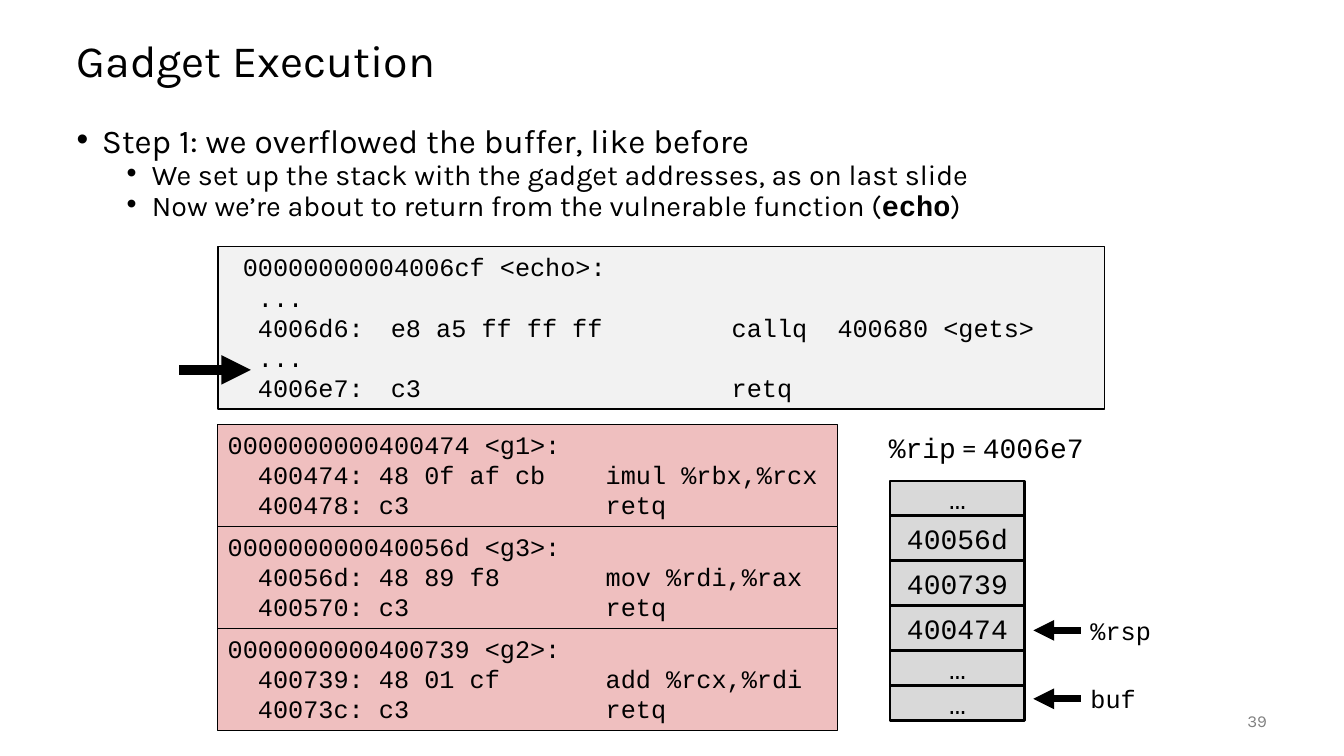
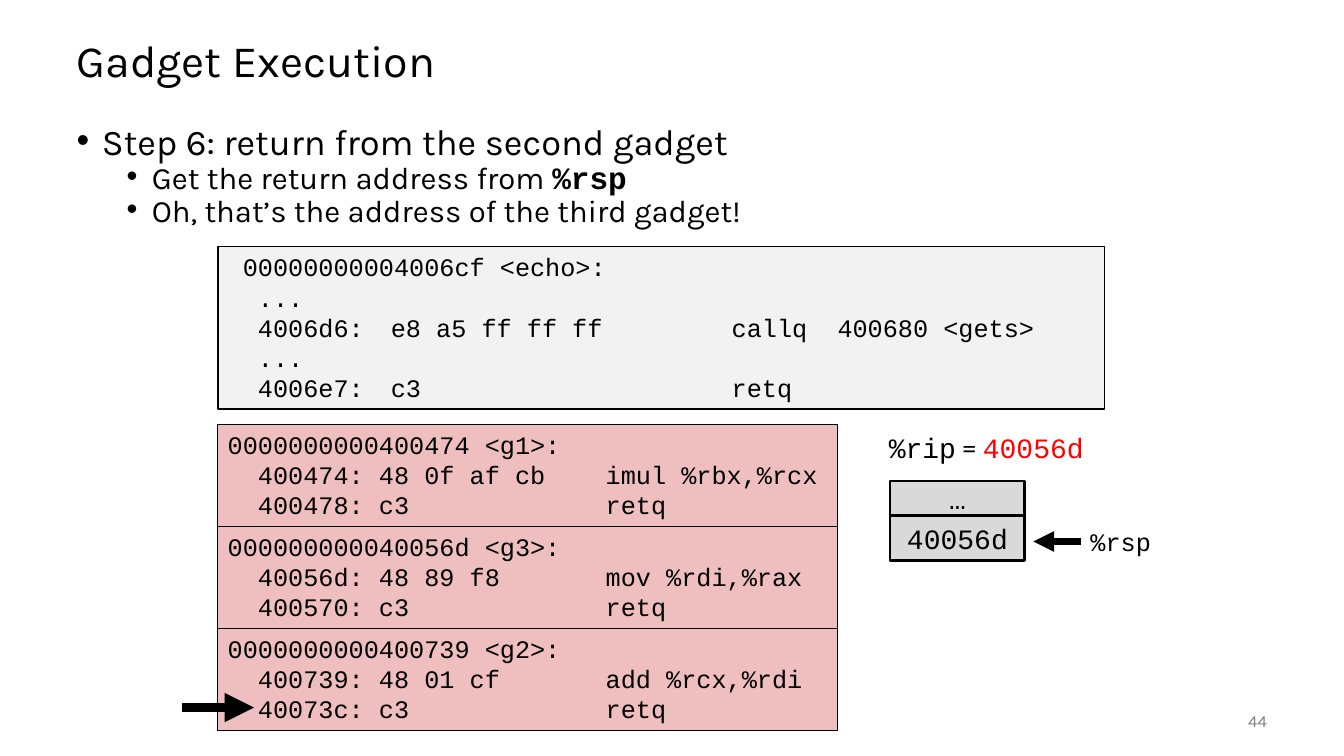
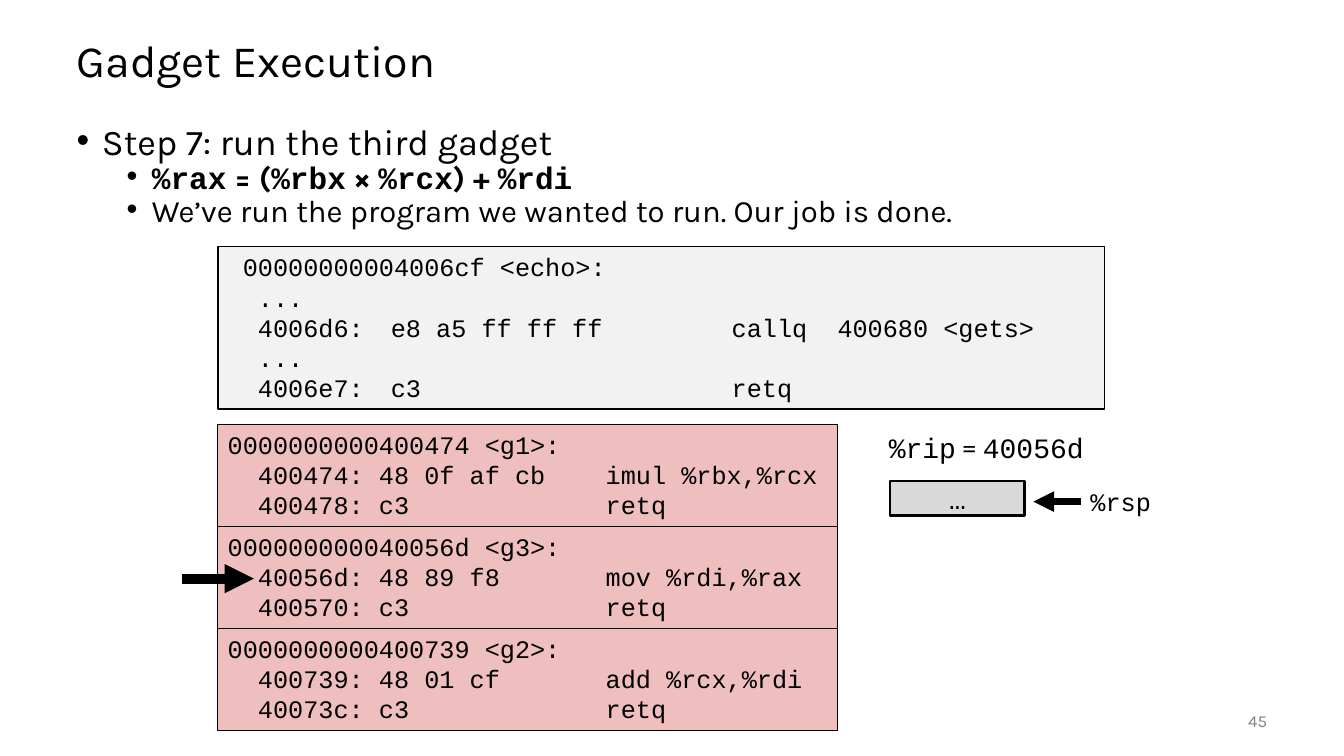
"""Build three slides that trace a return-oriented program through its gadgets."""
from dataclasses import dataclass
from typing import NamedTuple

from lxml import etree
from pptx import Presentation
from pptx.dml.color import RGBColor
from pptx.enum.shapes import MSO_CONNECTOR, MSO_SHAPE
from pptx.enum.text import MSO_ANCHOR, PP_ALIGN
from pptx.oxml.ns import qn
from pptx.util import Cm, Pt

STRAIGHT = MSO_CONNECTOR.STRAIGHT
RECTANGLE = MSO_SHAPE.RECTANGLE
TOP, MIDDLE = MSO_ANCHOR.TOP, MSO_ANCHOR.MIDDLE
LEFT, CENTER, RIGHT = PP_ALIGN.LEFT, PP_ALIGN.CENTER, PP_ALIGN.RIGHT
LEFT_SIDE = 1


@dataclass(frozen=True)
class Theme:
    """Colours, fonts and type sizes of the deck."""
    ink: str = "000000"
    changed: str = "FF0000"
    number: str = "808080"
    listing: str = "F2F2F2"
    gadget: str = "EFBFBF"
    cell: str = "D9D9D9"
    prose: str = "Karla"
    code: str = "Courier New"
    sign: str = "Calibri"
    title_size: float = 32
    code_size: float = 18
    stack_size: float = 20
    number_size: float = 12


THEME = Theme()


class Box(NamedTuple):
    """Place and size in centimetres."""
    left: float
    top: float
    width: float
    height: float


class Span(NamedTuple):
    """A stretch of text in one font."""
    text: str
    font: str = THEME.prose
    bold: bool = False
    color: str = THEME.ink


class Pointer(NamedTuple):
    """A labelled arrow to a stack cell, nudged from the middle of the cell."""
    label: str
    cell: int
    nudge: float


@dataclass(frozen=True)
class Step:
    """One step of the execution."""
    number: int
    heading: str
    details: list[list[Span]]
    sizes: tuple[float, float]
    rip: Span
    stack: list[str]
    pointers: list[Pointer]
    next_line: tuple[float, float]


TITLE = Box(1.68, 0.64, 30.48, 1.9)
BODY = Box(1.68, 3.18, 30.48, 2.75)
ECHO = Box(5.49, 6.22, 22.35, 4.09)
FIRST_GADGET = Box(5.49, 10.69, 15.62, 2.57)
RIP = Box(22.15, 10.72, 5.46, 1.12)
SLIDE_NUMBER = Box(29.64, 17.65, 2.54, 1.02)
STACK_LEFT, STACK_TOP, STACK_WIDTH = 22.43, 12.12, 3.4
ADDRESS_HEIGHT, ELLIPSIS_HEIGHT = 1.13, 0.88
LABEL_LEFT, LABEL_WIDTH, LABEL_HEIGHT = 27.23, 2.59, 1.02
POINTER_TIP = 26.04
NEXT_LINE_LENGTH = 1.8
ECHO_TABS = (4.11, 12.7)

ECHO_CODE = [
    " 00000000004006cf <echo>:",
    "  ...",
    "  4006d6:\te8 a5 ff ff ff\tcallq  400680 <gets>",
    "  ...",
    "  4006e7:\tc3\tretq",
]
GADGETS = [
    ["0000000000400474 <g1>:", "  400474: 48 0f af cb    imul %rbx,%rcx",
     "  400478: c3             retq"],
    ["000000000040056d <g3>:", "  40056d: 48 89 f8       mov %rdi,%rax",
     "  400570: c3             retq"],
    ["0000000000400739 <g2>:", "  400739: 48 01 cf       add %rcx,%rdi",
     "  40073c: c3             retq"],
]


def bold_code(text: str) -> Span:
    """Return a span of bold code."""
    return Span(text, THEME.code, True)


STEPS = [
    Step(39, "Step 1: we overflowed the buffer, like before",
         [[Span("We set up the stack with the gadget addresses, as on last slide")],
          [Span("Now we’re about to return from the vulnerable function ("),
           bold_code("echo"), Span(")")]],
         (23.8, 20.4), Span("4006e7", THEME.code),
         ["…", "40056d", "400739", "400474", "…", "…"],
         [Pointer("%rsp", 3, 0.06), Pointer("buf", 5, -0.1)], (4.52, 9.32)),
    Step(44, "Step 6: return from the second gadget",
         [[Span("Get the return address from "), bold_code("%rsp")],
          [Span("Oh, that’s the address of the third gadget!")]],
         (25.9, 22.2), Span("40056d", THEME.code, color=THEME.changed),
         ["…", "40056d"], [Pointer("%rsp", 1, 0.08)], (4.6, 17.83)),
    Step(45, "Step 7: run the third gadget",
         [[bold_code("%rax"), Span(" = (", bold=True), bold_code("%rbx"),
           Span(" × ", bold=True), bold_code("%rcx"), Span(") + ", bold=True),
           bold_code("%rdi")],
          [Span("We’ve run the program we wanted to run. Our job is done.")]],
         (25.9, 22.2), Span("40056d", THEME.code),
         ["…"], [Pointer("%rsp", 0, 0.08)], (4.6, 14.58)),
]


def style_run(run, font: str, size: float, color: str, bold: bool = False) -> None:
    """Set the font of a run."""
    run.font.name = font
    run.font.size = Pt(size)
    run.font.bold = bold
    run.font.color.rgb = RGBColor.from_string(color)


def write_lines(frame, lines: list[str], font: str, size: float,
                color: str = THEME.ink, align=LEFT, anchor=TOP) -> None:
    """Fill a text frame with lines in one font."""
    frame.word_wrap = True
    frame.vertical_anchor = anchor
    frame.text = "\n".join(lines)
    for paragraph in frame.paragraphs:
        paragraph.alignment = align
        for run in paragraph.runs:
            style_run(run, font, size, color)


def write_spans(paragraph, spans: list[Span], size: float) -> None:
    """Fill a paragraph with spans in several fonts."""
    for span in spans:
        run = paragraph.add_run()
        run.text = span.text
        style_run(run, span.font, size, span.color, span.bold)


def add_text(slide, box: Box):
    """Add a text box."""
    return slide.shapes.add_textbox(*map(Cm, box))


def add_panel(slide, box: Box, fill: str, border: float):
    """Add a filled rectangle with a black border."""
    panel = slide.shapes.add_shape(RECTANGLE, *map(Cm, box))
    panel.shadow.inherit = False
    panel.fill.solid()
    panel.fill.fore_color.rgb = RGBColor.from_string(fill)
    panel.line.color.rgb = RGBColor.from_string(THEME.ink)
    panel.line.width = Pt(border)
    return panel


def add_arrow(slide, start: float, end: float, y: float, weight: float):
    """Add a horizontal arrow."""
    arrow = slide.shapes.add_connector(STRAIGHT, Cm(start), Cm(y), Cm(end), Cm(y))
    arrow.line.color.rgb = RGBColor.from_string(THEME.ink)
    arrow.line.width = Pt(weight)
    properties = arrow.element.spPr
    etree.SubElement(properties.find(qn("a:ln")), qn("a:tailEnd"), type="triangle")
    etree.SubElement(properties, qn("a:effectLst"))
    return arrow


def add_bullet(paragraph, margin: float) -> None:
    """Give a paragraph a hanging bullet and tight lines."""
    properties = paragraph._p.get_or_add_pPr()
    properties.set("marL", str(Cm(margin)))
    properties.set("indent", str(Cm(-0.64)))
    etree.SubElement(properties, qn("a:buFont"), typeface="Arial")
    etree.SubElement(properties, qn("a:buChar"), char="•")
    paragraph.line_spacing = 0.7


def add_tabs(paragraph, stops: tuple[float, ...]) -> None:
    """Set left tab stops on a paragraph."""
    tabs = etree.SubElement(paragraph._p.get_or_add_pPr(), qn("a:tabLst"))
    for stop in stops:
        etree.SubElement(tabs, qn("a:tab"), pos=str(Cm(stop)), algn="l")


def draw_frame(slide, number: int) -> None:
    """Draw the title and the slide number."""
    title = add_text(slide, TITLE).text_frame
    write_lines(title, ["Gadget Execution"], THEME.prose, THEME.title_size, anchor=MIDDLE)
    title.paragraphs[0].line_spacing = 0.9
    write_lines(add_text(slide, SLIDE_NUMBER).text_frame, [str(number)], THEME.prose,
                THEME.number_size, THEME.number, RIGHT, MIDDLE)


def draw_explanation(slide, step: Step) -> None:
    """Draw the bulleted explanation of a step."""
    body = add_text(slide, BODY).text_frame
    body.word_wrap = True
    heading_size, detail_size = step.sizes
    heading = body.paragraphs[0]
    add_bullet(heading, 0.64)
    write_spans(heading, [Span(step.heading)], heading_size)
    for spans in step.details:
        detail = body.add_paragraph()
        detail.level = 1
        add_bullet(detail, 1.9)
        detail.space_before = Pt(5)
        write_spans(detail, spans, detail_size)


def draw_code(slide) -> None:
    """Draw the vulnerable function and the gadgets."""
    echo = add_panel(slide, ECHO, THEME.listing, 1).text_frame
    write_lines(echo, ECHO_CODE, THEME.code, THEME.code_size)
    for line in echo.paragraphs:
        add_tabs(line, ECHO_TABS)
    for row, code in enumerate(GADGETS):
        place = FIRST_GADGET._replace(top=FIRST_GADGET.top + row * FIRST_GADGET.height)
        gadget = add_panel(slide, place, THEME.gadget, 0.75)
        write_lines(gadget.text_frame, code, THEME.code, THEME.code_size)


def draw_stack(slide, step: Step) -> None:
    """Draw the instruction pointer, the stack and its pointers."""
    rip = add_text(slide, RIP).text_frame
    rip.word_wrap = False
    write_spans(rip.paragraphs[0],
                [Span("%rip", THEME.code), Span(" = ", THEME.sign), step.rip],
                THEME.stack_size)
    middles = []
    top = STACK_TOP
    for value in step.stack:
        height = ELLIPSIS_HEIGHT if value == "…" else ADDRESS_HEIGHT
        cell = add_panel(slide, Box(STACK_LEFT, top, STACK_WIDTH, height), THEME.cell, 2)
        write_lines(cell.text_frame, [value], THEME.code, THEME.stack_size,
                    align=CENTER, anchor=MIDDLE)
        middles.append(top + height / 2)
        top += height
    for pointer in step.pointers:
        y = middles[pointer.cell] + pointer.nudge
        label = add_text(slide, Box(LABEL_LEFT, y - LABEL_HEIGHT / 2,
                                    LABEL_WIDTH, LABEL_HEIGHT))
        write_lines(label.text_frame, [pointer.label], THEME.code, THEME.code_size)
        arrow = add_arrow(slide, LABEL_LEFT, POINTER_TIP, y, 5)
        arrow.begin_connect(label, LEFT_SIDE)


def main() -> None:
    """Build and save the deck."""
    deck = Presentation()
    deck.slide_width, deck.slide_height = Cm(33.87), Cm(19.05)
    blank = deck.slide_layouts[6]
    for step in STEPS:
        slide = deck.slides.add_slide(blank)
        draw_frame(slide, step.number)
        draw_explanation(slide, step)
        draw_code(slide)
        draw_stack(slide, step)
        start, y = step.next_line
        add_arrow(slide, start, start + NEXT_LINE_LENGTH, y, 7)
    deck.save("out.pptx")


if __name__ == "__main__":
    main()
